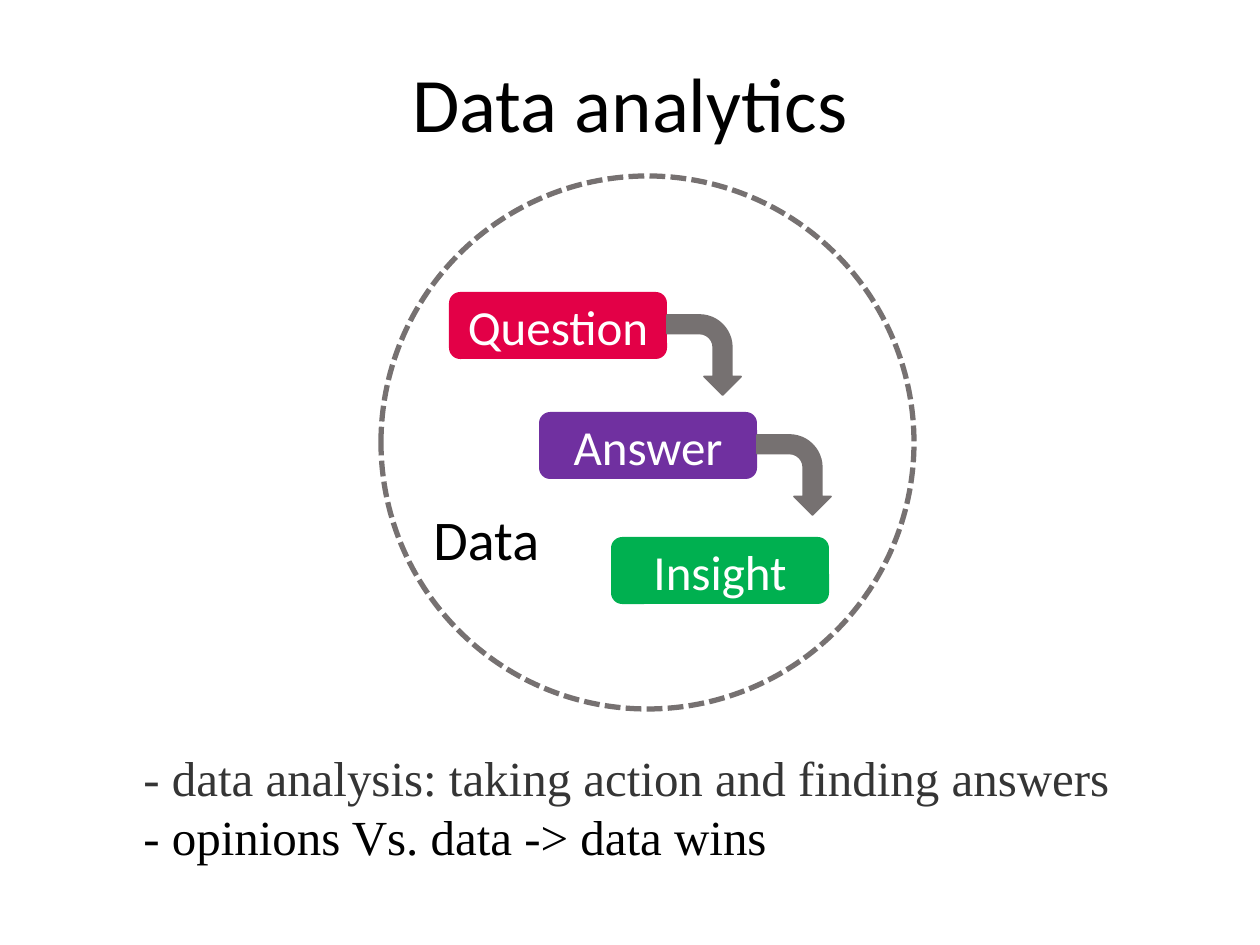
"""Build the Data analytics slide."""
from pptx import Presentation
from pptx.dml.color import RGBColor
from pptx.enum.dml import MSO_LINE
from pptx.enum.shapes import MSO_SHAPE
from pptx.enum.text import MSO_ANCHOR, MSO_AUTO_SIZE, PP_ALIGN
from pptx.util import Emu, Pt

SCALE = 914400 / 126
GREY = "767171"


def paint(target, color):
    if hasattr(target, "solid"):
        target.solid()
        target = target.fore_color
    target.rgb = RGBColor.from_string(color)


def write(para, text, size, color, font="Calibri"):
    run = para.add_run()
    run.text = text
    run.font.size = Pt(size)
    run.font.name = font
    paint(run.font.color, color)


deck = Presentation()
deck.slide_width, deck.slide_height = Emu(round(1260 * SCALE)), Emu(round(945 * SCALE))
shapes = deck.slides.add_slide(deck.slide_layouts[6]).shapes

title = shapes.add_textbox(*[Emu(round(n * SCALE)) for n in (87, 16, 1086, 183)])
frame = title.text_frame
frame.word_wrap = True
frame.vertical_anchor = MSO_ANCHOR.MIDDLE
para = frame.paragraphs[0]
para.alignment = PP_ALIGN.CENTER
para.line_spacing = 0.9
write(para, "Data analytics", 44, "000000")

ring = shapes.add_shape(
    MSO_SHAPE.OVAL, *[Emu(round(n * SCALE)) for n in (381, 176, 533, 533)])
ring.shadow.inherit = False
paint(ring.fill, "FFFFFF")
paint(ring.line.color, GREY)
ring.line.width = Pt(3)
ring.line.dash_style = MSO_LINE.SQUARE_DOT

for label, color, left, top in (
    ("Question", "E30047", 449, 292),
    ("Answer", "7030A0", 539, 412),
    ("Insight", "00B050", 611, 537),
):
    box = shapes.add_shape(
        MSO_SHAPE.ROUNDED_RECTANGLE,
        *[Emu(round(n * SCALE)) for n in (left, top, 218, 67)])
    box.shadow.inherit = False
    paint(box.fill, color)
    box.line.fill.background()
    frame = box.text_frame
    frame.vertical_anchor = MSO_ANCHOR.MIDDLE
    para = frame.paragraphs[0]
    para.alignment = PP_ALIGN.CENTER
    write(para, label, 28, "FFFFFF")

for left, top in ((664, 318), (754, 438)):
    arrow = shapes.add_shape(
        MSO_SHAPE.BENT_ARROW, *[Emu(round(n * SCALE)) for n in (left, top, 80, 74)])
    arrow.rotation = 90
    arrow.shadow.inherit = False
    paint(arrow.fill, GREY)
    paint(arrow.line.color, GREY)
    arrow.line.width = Pt(1)

for spot, size, font, lines in (
    ((421, 498, 132, 81), 32, "Calibri", [("Data", "000000")]),
    ((131, 741, 1033, 131), 28, "Times New Roman", [
        ("- data analysis: taking action and finding answers", "353535"),
        ("- opinions Vs. data -> data wins", "000000"),
    ]),
):
    note = shapes.add_textbox(*[Emu(round(n * SCALE)) for n in spot])
    frame = note.text_frame
    frame.word_wrap = False
    frame.auto_size = MSO_AUTO_SIZE.SHAPE_TO_FIT_TEXT
    for row, (text, color) in enumerate(lines):
        para = frame.add_paragraph() if row else frame.paragraphs[0]
        write(para, text, size, color, font)

deck.save("out.pptx")
